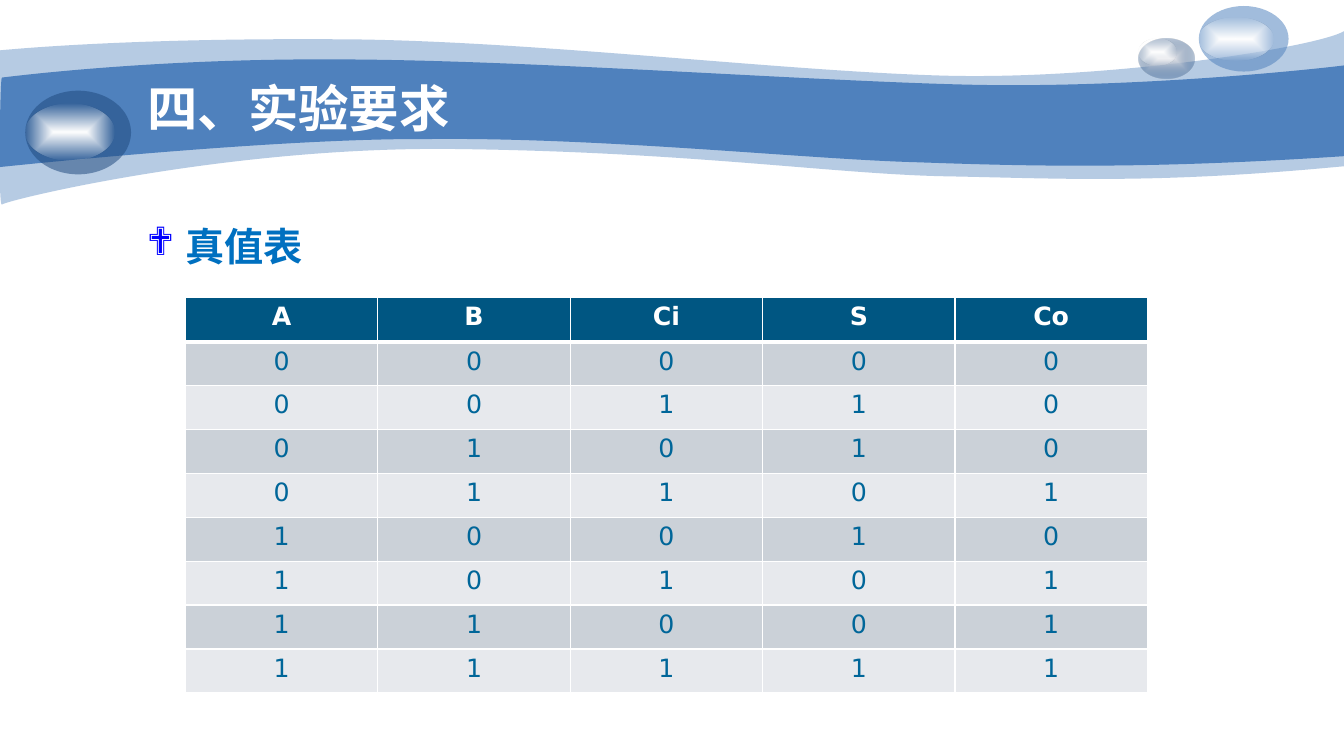
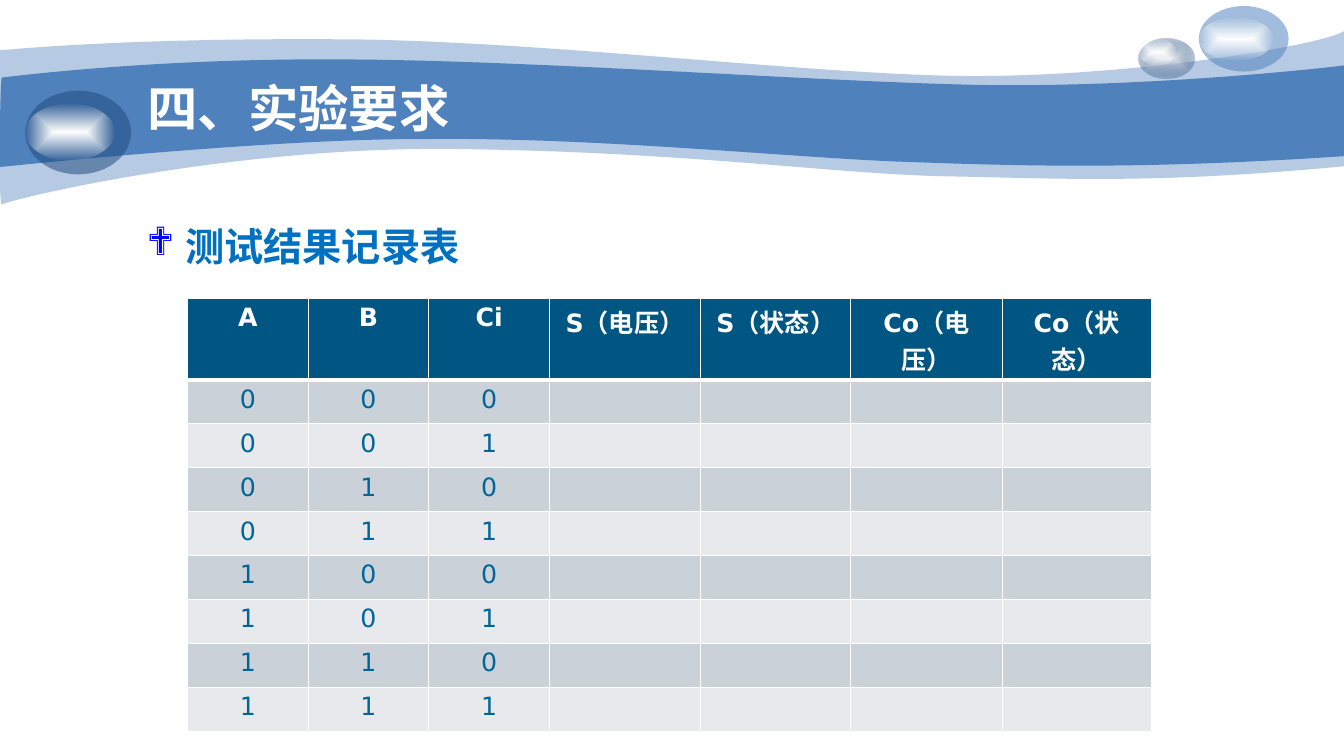
from dataclasses import dataclass

from lxml import etree
from pptx import Presentation
from pptx.dml.color import RGBColor
from pptx.enum.shapes import MSO_SHAPE
from pptx.enum.text import MSO_ANCHOR, PP_ALIGN
from pptx.oxml import parse_xml
from pptx.oxml.ns import nsdecls, qn
from pptx.util import Inches, Pt

ELLIPSE = MSO_SHAPE.OVAL
LEFT, CENTER = PP_ALIGN.LEFT, PP_ALIGN.CENTER
MIDDLE = MSO_ANCHOR.MIDDLE
TITLE_ONLY = 5


@dataclass(frozen=True)
class Theme:
    heading_font: str = "Times New Roman"
    table_font: str = "DejaVu Sans"
    bullet_font: str = "Wingdings"
    title_size: int = 36
    heading_size: int = 28
    table_size: int = 18
    white: str = "FFFFFF"
    blue: str = "4F81BD"
    navy: str = "1F497D"
    silver: str = "E1E2E7"
    heading: str = "0070C0"
    bullet: str = "0000FF"
    header_fill: str = "005682"
    row_fills: tuple = ("CBD1D8", "E7E9ED")
    table_text: str = "006699"
    thin_border: int = 1
    thick_border: int = 3


THEME = Theme()

TITLE = "四、实验要求"
TRUTH_ROWS = ["00000", "00110", "01010", "01101", "10010", "10101", "11001", "11111"]
INPUTS = ["A", "B", "Ci"]
SLIDES = [
    {
        "heading": "真值表",
        "header": INPUTS + ["S", "Co"],
        "rows": TRUTH_ROWS,
        "widths": [9.54 / 5] * 5,
        "at": (1.84, 2.95),
        "header_height": 0.44,
    },
    {
        "heading": "测试结果记录表",
        "header": INPUTS + ["S（电压）", "S（状态）", "Co（电压）", "Co（状态）"],
        "rows": [row[:3] for row in TRUTH_ROWS],
        "widths": [3.59 / 3] * 3 + [1.5, 1.49, 1.5, 1.48],
        "at": (1.86, 2.96),
        "header_height": 0.81,
    },
]
TITLE_BOX = (1.36, 0.76, 4.5, 0.62)
HEADING_BOX = (1.36, 2.16, 10.83, 0.64)
HEADING_INDENT = 0.38
TABLE_HEIGHT = 3.92

# Each segment holds one point for a line, or three for a cubic curve.
WAVES = [
    {
        "start": (0, 0.5),
        "opacity": 41,
        "segments": [
            [(0.32, 0.47), (1.43, 0.38), (3.29, 0.39)],
            [(5.14, 0.39), (7.67, 0.7), (9.32, 0.75)],
            [(10.96, 0.8), (13.06, 0.47), (13.33, 0.31)],
            [(13.33, 1.65)],
            [(11.44, 1.83), (10.5, 1.77), (9.39, 1.75)],
            [(8.29, 1.73), (6.87, 1.51), (4.58, 1.48)],
            [(2.29, 1.44), (0.05, 1.99), (0.02, 2.03)],
            [(-0.02, 2.08), (0, 0.75), (0, 0.5)],
        ],
    },
    {
        "start": (0.02, 0.77),
        "opacity": 100,
        "segments": [
            [(0.03, 0.77), (1.46, 0.58), (3.31, 0.59)],
            [(5.15, 0.59), (7.94, 0.8), (9.58, 0.84)],
            [(11.22, 0.88), (13.01, 0.69), (13.33, 0.65)],
            [(13.33, 1.55)],
            [(11.37, 1.68), (10.21, 1.65), (9.09, 1.61)],
            [(7.99, 1.58), (5.96, 1.36), (4.23, 1.38)],
            [(2.71, 1.37), (-0.03, 1.66), (-0.02, 1.66)],
            [(0, 1.66), (0, 0.77), (0.02, 0.77)],
        ],
    },
]

# Fill stops are (colour, opacity); one stop is a solid fill, two a gradient.
GLINT = [(THEME.white, 100), (THEME.white, 0)]
BUBBLES = [
    {
        "body": (11.29, 0.38, 0.56, 0.4),
        "stops": [(THEME.silver, 100), (THEME.navy, 31)],
        "glint": (11.29, 0.38, 0.38, 0.27),
    },
    {
        "body": (11.89, 0.06, 0.89, 0.65),
        "stops": [(THEME.blue, 53)],
        "glint": (11.89, 0.17, 0.74, 0.43),
    },
    {
        "body": (0.25, 0.9, 1.05, 0.83),
        "stops": [(THEME.navy, 53)],
        "glint": (0.25, 1.03, 0.88, 0.56),
    },
]


def rgb(color):
    return RGBColor.from_string(color)


def inches(values):
    return [Inches(value) for value in values]


def set_font(paragraph, name, size, color, bold):
    font = paragraph.font
    font.name, font.size, font.bold = name, Pt(size), bold
    font.color.rgb = rgb(color)


def paint(shape, stops):
    """Fill a shape with one colour or a centred gradient, without outline."""
    shape.shadow.inherit = False
    shape.line.fill.background()
    properties = shape.element.spPr
    if len(stops) == 1:
        color, opacity = stops[0]
        shape.fill.solid()
        shape.fill.fore_color.rgb = rgb(color)
        if opacity < 100:
            color_node = properties.find(qn("a:solidFill"))[0]
            etree.SubElement(color_node, qn("a:alpha"), val=str(opacity * 1000))
        return
    stop_xml = "".join(
        f'<a:gs pos="{position}"><a:srgbClr val="{color}">'
        f'<a:alpha val="{opacity * 1000}"/></a:srgbClr></a:gs>'
        for position, (color, opacity) in zip((0, 100000), stops)
    )
    gradient = parse_xml(
        f'<a:gradFill {nsdecls("a")} rotWithShape="1"><a:gsLst>{stop_xml}</a:gsLst>'
        '<a:path path="shape"><a:fillToRect l="50000" t="50000" r="50000" b="50000"/>'
        "</a:path></a:gradFill>"
    )
    shape.fill.background()
    properties.replace(properties.find(qn("a:noFill")), gradient)


def add_wave(slide, start, segments):
    """Draw the outline through all points, then join each triple into a curve."""
    builder = slide.shapes.build_freeform(*inches(start))
    points = [inches(point) for segment in segments for point in segment]
    builder.add_line_segments(points, close=True)
    shape = builder.convert_to_shape()
    lines = iter(list(shape.element.iter(qn("a:lnTo"))))
    for segment in segments:
        parts = [next(lines) for _ in segment]
        if len(parts) == 3:
            curve = etree.Element(qn("a:cubicBezTo"))
            parts[0].addprevious(curve)
            for part in parts:
                curve.append(part[0])
                part.getparent().remove(part)
    return shape


def decorate_layout(layout, slide):
    """Draw the waves and bubbles on a slide, then move them to its layout."""
    decorations = []
    for wave in WAVES:
        shape = add_wave(slide, wave["start"], wave["segments"])
        paint(shape, [(THEME.blue, wave["opacity"])])
        decorations.append(shape)
    for bubble in BUBBLES:
        group = slide.shapes.add_group_shape()
        for box, stops in ((bubble["body"], bubble["stops"]), (bubble["glint"], GLINT)):
            paint(group.shapes.add_shape(ELLIPSE, *inches(box)), stops)
        decorations.append(group)
    first_placeholder = layout.placeholders[0].element
    for decoration in decorations:
        first_placeholder.addprevious(decoration.element)


def add_title(slide):
    title = slide.shapes.title
    title.left, title.top, title.width, title.height = inches(TITLE_BOX)
    frame = title.text_frame
    frame.text = TITLE
    frame.vertical_anchor = MIDDLE
    paragraph = frame.paragraphs[0]
    paragraph.alignment = LEFT
    set_font(paragraph, THEME.heading_font, THEME.title_size, THEME.white, True)


def add_heading(slide, text):
    frame = slide.shapes.add_textbox(*inches(HEADING_BOX)).text_frame
    frame.word_wrap = True
    frame.text = text
    paragraph = frame.paragraphs[0]
    set_font(paragraph, THEME.heading_font, THEME.heading_size, THEME.heading, True)
    properties = paragraph._p.get_or_add_pPr()
    properties.set("marL", str(Inches(HEADING_INDENT)))
    properties.set("indent", str(-Inches(HEADING_INDENT)))
    bullet = (
        f'<a:buClr {nsdecls("a")}><a:srgbClr val="{THEME.bullet}"/></a:buClr>',
        f'<a:buFont {nsdecls("a")} typeface="{THEME.bullet_font}" charset="2"/>',
        f'<a:buChar {nsdecls("a")} char="❖"/>',
    )
    for index, xml in enumerate(bullet):
        properties.insert(index, parse_xml(xml))


def set_borders(cell, top, bottom):
    properties = cell._tc.get_or_add_tcPr()
    widths = {"lnL": THEME.thin_border, "lnR": THEME.thin_border, "lnT": top, "lnB": bottom}
    for index, (side, width) in enumerate(widths.items()):
        properties.insert(index, parse_xml(
            f'<a:{side} {nsdecls("a")} w="{Pt(width)}"><a:solidFill>'
            f'<a:srgbClr val="{THEME.white}"/></a:solidFill></a:{side}>'
        ))


def add_logic_table(slide, header, rows, widths, at, header_height):
    """Add a table; cells beyond the end of a row stay empty."""
    size = (sum(widths), TABLE_HEIGHT)
    table = slide.shapes.add_table(
        len(rows) + 1, len(header), *inches(at + size)
    ).table
    table.rows[0].height = Inches(header_height)
    for column, width in zip(table.columns, widths):
        column.width = Inches(width)
    for row_index, values in enumerate([header, *rows]):
        is_header = row_index == 0
        fill = THEME.header_fill if is_header else THEME.row_fills[(row_index - 1) % 2]
        color = THEME.white if is_header else THEME.table_text
        top = THEME.thick_border if row_index == 1 else THEME.thin_border
        bottom = THEME.thick_border if is_header else THEME.thin_border
        for column_index in range(len(header)):
            cell = table.cell(row_index, column_index)
            cell.fill.solid()
            cell.fill.fore_color.rgb = rgb(fill)
            set_borders(cell, top, bottom)
            if column_index < len(values):
                cell.text = values[column_index]
                paragraph = cell.text_frame.paragraphs[0]
                paragraph.alignment = CENTER
                set_font(paragraph, THEME.table_font, THEME.table_size, color, is_header)


def main():
    presentation = Presentation()
    presentation.slide_width, presentation.slide_height = inches((13.33, 7.5))
    layout = presentation.slide_layouts[TITLE_ONLY]
    for index, content in enumerate(SLIDES):
        slide = presentation.slides.add_slide(layout)
        if index == 0:
            decorate_layout(layout, slide)
        add_title(slide)
        add_heading(slide, content["heading"])
        add_logic_table(
            slide, content["header"], content["rows"], content["widths"],
            content["at"], content["header_height"],
        )
    presentation.save("out.pptx")


if __name__ == "__main__":
    main()
